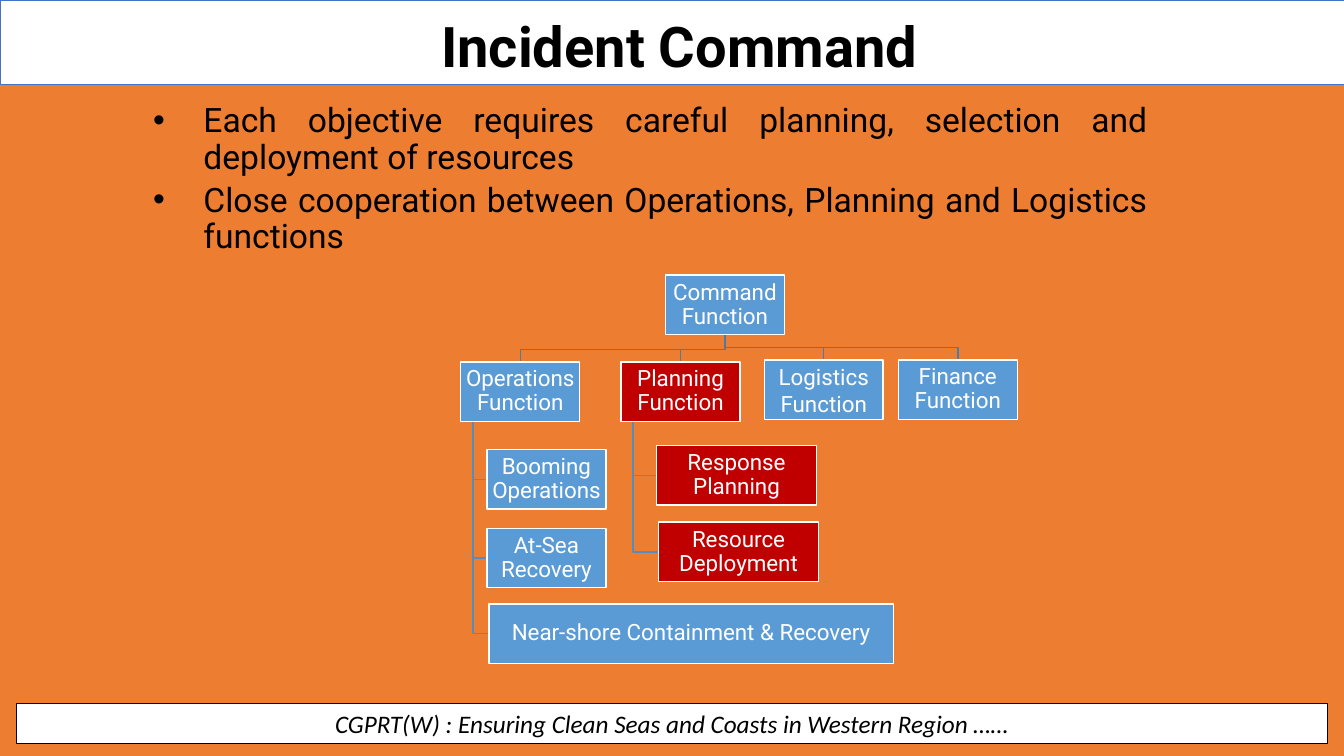
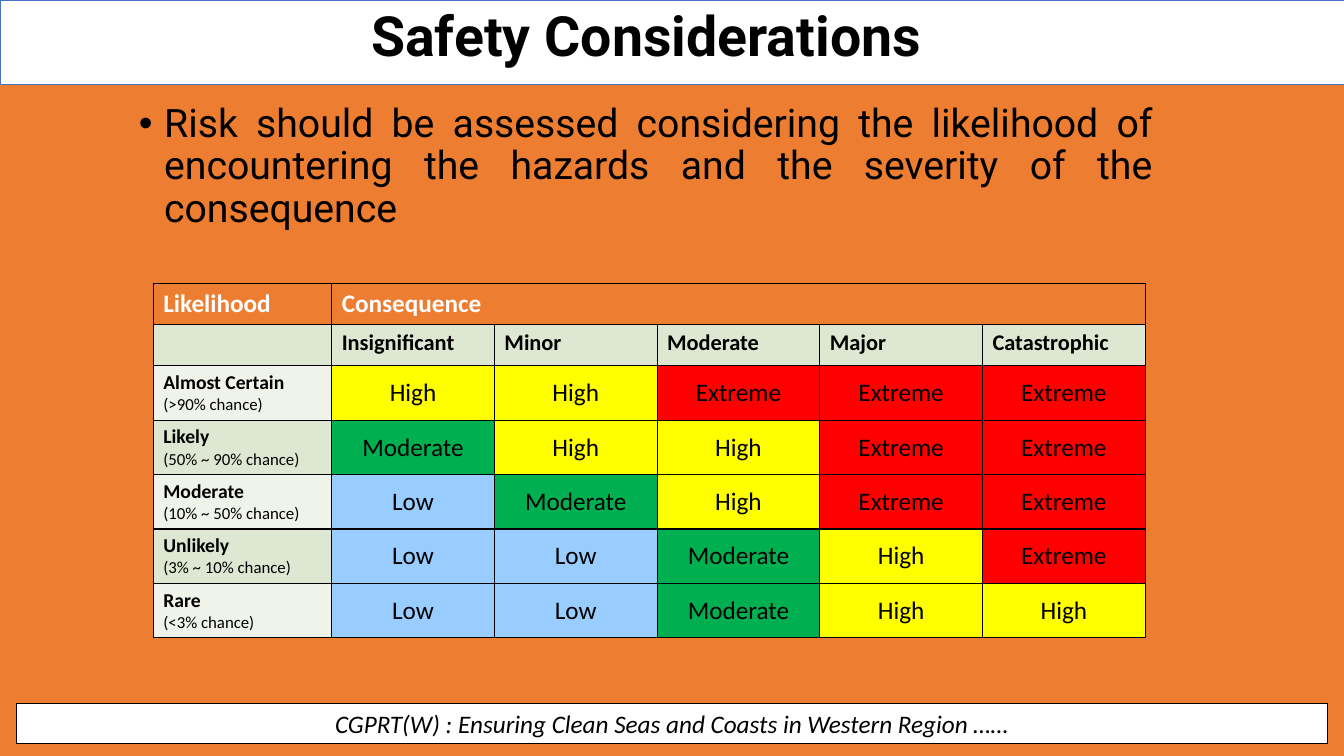
from pptx import Presentation
from pptx.dml.color import RGBColor
from pptx.enum.shapes import MSO_SHAPE
from pptx.enum.text import MSO_ANCHOR, MSO_AUTO_SIZE, PP_ALIGN
from pptx.oxml.ns import qn
from pptx.util import Inches, Pt
from lxml import etree

RECTANGLE = MSO_SHAPE.RECTANGLE
TOP, MIDDLE = MSO_ANCHOR.TOP, MSO_ANCHOR.MIDDLE
NO_AUTOFIT = MSO_AUTO_SIZE.NONE
LEFT, CENTER, JUSTIFY = PP_ALIGN.LEFT, PP_ALIGN.CENTER, PP_ALIGN.JUSTIFY

ORANGE = RGBColor(0xED, 0x7D, 0x31)
WHITE = RGBColor(0xFF, 0xFF, 0xFF)
BLACK = RGBColor(0, 0, 0)
BAND_EDGE = RGBColor(0x44, 0x72, 0xC4)
BLUE = RGBColor(0x5B, 0x9B, 0xD5)
CRIMSON = RGBColor(0xC0, 0, 0)
BRANCH_LINE = RGBColor(0x49, 0x7C, 0xAB)
TRUNK_LINE = RGBColor(0x53, 0x8D, 0xC1)
SAGE = RGBColor(0xDE, 0xE7, 0xD1)
PALE_SAGE = RGBColor(0xEF, 0xF3, 0xEA)
RISK_COLOURS = {
    "Low": RGBColor(0x99, 0xCC, 0xFF),
    "Moderate": RGBColor(0, 0xB0, 0x50),
    "High": RGBColor(0xFF, 0xFF, 0),
    "Extreme": RGBColor(0xFF, 0, 0),
}

FOOTER = "CGPRT(W) : Ensuring Clean Seas and Coasts in Western Region ……"

COMMAND_SLIDE = {
    "title": "Incident Command",
    "title_at": (1.89, 0.14, 9.69, 0.61),
    "title_size": 40,
    "title_spacing": 0.9,
    "bullets": [
        "Each objective requires careful planning, selection and deployment of resources",
        "Close cooperation between Operations, Planning and Logistics functions",
    ],
    "bullets_at": (1.42, 0.98, 10.06, 1.6),
    "bullet_size": 24,
    "bullet_indent": 0.5,
    "bullet_gap": 5,
}
SAFETY_SLIDE = {
    "title": "Safety Considerations",
    "title_at": (1.91, 0.14, 9, 0.61),
    "title_size": 39.6,
    "title_spacing": 0.7,
    "bullets": [
        "Risk should be assessed considering the likelihood of encountering "
        "the hazards and the severity of the consequence",
    ],
    "bullets_at": (1.28, 0.98, 10.25, 1.5),
    "bullet_size": 28,
    "bullet_indent": 0.25,
    "bullet_gap": 10,
}

COMMAND = ("Command Function", 6.6, 2.73, 1.18, BLUE, 0.9)
FUNCTIONS = [
    (("Operations Function", 4.57, 3.59, 1.18, BLUE, 0.9), [
        ("Booming\nOperations", 4.83, 4.46, 1.18, BLUE, 0.9),
        ("At-Sea Recovery", 4.83, 5.24, 1.18, BLUE, 0.9),
        ("Near-shore Containment & Recovery", 4.85, 5.99, 4.01, BLUE, 0.9),
    ]),
    (("Planning Function", 6.16, 3.59, 1.18, CRIMSON, 0.9), [
        ("Response\nPlanning", 6.51, 4.42, 1.59, CRIMSON, 0.9),
        ("Resource Deployment", 6.53, 5.18, 1.59, CRIMSON, 0.9),
    ]),
    (("Logistics\nFunction", 7.58, 3.57, 1.18, BLUE, 1.0), []),
    (("Finance Function", 8.91, 3.57, 1.18, BLUE, 0.9), []),
]
BOX_HEIGHT = 0.59
BEND = 0.12

CONSEQUENCES = ["Insignificant", "Minor", "Moderate", "Major", "Catastrophic"]
RISKS = [
    ("Almost Certain", "(>90% chance)", ["High", "High", "Extreme", "Extreme", "Extreme"]),
    ("Likely", "(50% ~ 90% chance)", ["Moderate", "High", "High", "Extreme", "Extreme"]),
    ("Moderate", "(10% ~ 50% chance)", ["Low", "Moderate", "High", "Extreme", "Extreme"]),
    ("Unlikely", "(3% ~ 10% chance)", ["Low", "Low", "Moderate", "High", "Extreme"]),
    ("Rare", "(<3% chance)", ["Low", "Low", "Moderate", "High", "High"]),
]
TABLE_AT = (1.52, 2.81, 9.84, 3.54)
LIKELIHOOD_WIDTH = 1.77
HEADER_HEIGHT, RISK_HEIGHT = 0.41, 0.54


def inches(values):
    return [Inches(value) for value in values]


def apply_format(target, formats):
    for name, value in formats.items():
        setattr(target, name, value)


def write(paragraph, text, colour, layout, **font):
    run = paragraph.add_run()
    run.text = text
    run.font.color.rgb = colour
    apply_format(paragraph, layout)
    apply_format(run.font, font)


def write_lines(frame, lines, colour, layout, **font):
    for index, line in enumerate(lines):
        paragraph = frame.add_paragraph() if index else frame.paragraphs[0]
        write(paragraph, line, colour, layout, **font)


def outline(shape, colour, width):
    shape.shadow.inherit = False
    shape.line.color.rgb = colour
    shape.line.width = Pt(width)


def add_panel(slide, at, fill, edge, width):
    panel = slide.shapes.add_shape(RECTANGLE, *inches(at))
    panel.fill.solid()
    panel.fill.fore_color.rgb = fill
    outline(panel, edge, width)
    apply_format(panel.text_frame, {"word_wrap": True, "vertical_anchor": MIDDLE})
    return panel


def add_bullets(slide, content):
    frame = slide.shapes.add_textbox(*inches(content["bullets_at"])).text_frame
    frame.word_wrap = True
    indent = Inches(content["bullet_indent"])
    for index, text in enumerate(content["bullets"]):
        paragraph = frame.add_paragraph() if index else frame.paragraphs[0]
        properties = paragraph._p.get_or_add_pPr()
        properties.set("marL", str(indent))
        properties.set("indent", str(-indent))
        etree.SubElement(properties, qn("a:buFont"), typeface="Arial")
        etree.SubElement(properties, qn("a:buChar"), char="•")
        gap = Pt(content["bullet_gap"] if index else 0)
        write(paragraph, text, BLACK,
              {"alignment": JUSTIFY, "line_spacing": 0.9, "space_before": gap},
              name="Roboto", size=Pt(content["bullet_size"]))


def add_content_slide(deck, content):
    slide = deck.slides.add_slide(deck.slide_layouts[5])
    footer = add_panel(slide, (0.16, 6.98, 13.01, 0.4), WHITE, BLACK, 0.75)
    write(footer.text_frame.paragraphs[0], FOOTER, BLACK, {"alignment": CENTER},
          name="Calibri", size=Pt(18), italic=True)
    add_panel(slide, (0, 0, 13.33, 0.84), WHITE, BAND_EDGE, 0.5)

    title = slide.shapes.title
    slide.shapes._spTree.append(title._element)
    apply_format(title, dict(zip(("left", "top", "width", "height"),
                                 inches(content["title_at"]))))
    apply_format(title.text_frame, {"vertical_anchor": TOP, "auto_size": NO_AUTOFIT,
                                    "word_wrap": True})
    write(title.text_frame.paragraphs[0], content["title"], BLACK,
          {"alignment": CENTER, "line_spacing": content["title_spacing"],
           "space_before": Pt(0)},
          name="Roboto", size=Pt(content["title_size"]), bold=True)
    add_bullets(slide, content)
    return slide


def add_branch(slide, points, colour):
    start, *rest = [tuple(inches(point)) for point in points]
    builder = slide.shapes.build_freeform(*start)
    builder.add_line_segments(rest, close=False)
    branch = builder.convert_to_shape()
    branch.fill.background()
    outline(branch, colour, 1)


def add_box(slide, box):
    text, left, top, width, colour, spacing = box
    frame = add_panel(slide, (left, top, width, BOX_HEIGHT), colour, WHITE, 1).text_frame
    for side in ("left", "top", "right", "bottom"):
        setattr(frame, f"margin_{side}", Inches(0.01))
    write_lines(frame, text.split("\n"), WHITE,
                {"alignment": CENTER, "line_spacing": spacing},
                name="Roboto", size=Pt(16))


def add_command_chart(slide):
    _, left, top, width, _, _ = COMMAND
    centre, base = left + width / 2, top + BOX_HEIGHT
    boxes = [COMMAND]
    for function, teams in FUNCTIONS:
        _, left, top, width, _, _ = function
        middle = left + width / 2
        add_branch(slide, [(centre, base), (centre, top - BEND),
                           (middle, top - BEND), (middle, top)], BRANCH_LINE)
        trunk = left + BEND
        for _, team_left, team_top, _, _, _ in teams:
            level = team_top + BOX_HEIGHT / 2
            add_branch(slide, [(trunk, top + BOX_HEIGHT), (trunk, level),
                               (team_left, level)], TRUNK_LINE)
        boxes += [function, *teams]
    for box in boxes:
        add_box(slide, box)


def style_cell(cell, fill, anchor=TOP):
    properties = cell._tc.get_or_add_tcPr()
    for side in ("lnL", "lnR", "lnT", "lnB"):
        border = etree.SubElement(properties, qn(f"a:{side}"), w=str(Pt(1)))
        paint = etree.SubElement(border, qn("a:solidFill"))
        etree.SubElement(paint, qn("a:srgbClr"), val=str(BLACK))
    cell.fill.solid()
    cell.fill.fore_color.rgb = fill
    cell.vertical_anchor = anchor


def write_cell(cell, text, colour, size, bold, alignment=LEFT):
    write(cell.text_frame.paragraphs[0], text, colour, {"alignment": alignment},
          name="Calibri", size=Pt(size), bold=bold)


def add_risk_table(slide):
    columns = len(CONSEQUENCES) + 1
    table = slide.shapes.add_table(len(RISKS) + 2, columns, *inches(TABLE_AT)).table
    apply_format(table, {"first_row": False, "horz_banding": False})
    level_width = (TABLE_AT[2] - LIKELIHOOD_WIDTH) / len(CONSEQUENCES)
    for index, column in enumerate(table.columns):
        column.width = Inches(level_width if index else LIKELIHOOD_WIDTH)
    for index, row in enumerate(table.rows):
        row.height = Inches(HEADER_HEIGHT if index < 2 else RISK_HEIGHT)

    for column in range(columns):
        style_cell(table.cell(0, column), ORANGE)
        style_cell(table.cell(1, column), SAGE)
    table.cell(0, 1).merge(table.cell(0, columns - 1))
    for column, heading in enumerate(("Likelihood", "Consequence")):
        write_cell(table.cell(0, column), heading, WHITE, 18, True)
    for column, consequence in enumerate(CONSEQUENCES, 1):
        write_cell(table.cell(1, column), consequence, BLACK, 16, True)

    for row, (likelihood, chance, levels) in enumerate(RISKS, 2):
        heading = table.cell(row, 0)
        style_cell(heading, SAGE if row % 2 else PALE_SAGE)
        write_cell(heading, likelihood, BLACK, 14, True)
        write(heading.text_frame.add_paragraph(), chance, BLACK, {"alignment": LEFT},
              name="Calibri", size=Pt(12), bold=False)
        for column, level in enumerate(levels, 1):
            cell = table.cell(row, column)
            style_cell(cell, RISK_COLOURS[level], MIDDLE)
            write_cell(cell, level, BLACK, 18, False, CENTER)


def main():
    deck = Presentation()
    apply_format(deck, {"slide_width": Inches(13.33), "slide_height": Inches(7.5)})
    backdrop = deck.slide_master.background.fill
    backdrop.solid()
    backdrop.fore_color.rgb = ORANGE
    add_command_chart(add_content_slide(deck, COMMAND_SLIDE))
    add_risk_table(add_content_slide(deck, SAFETY_SLIDE))
    deck.save("out.pptx")


if __name__ == "__main__":
    main()
